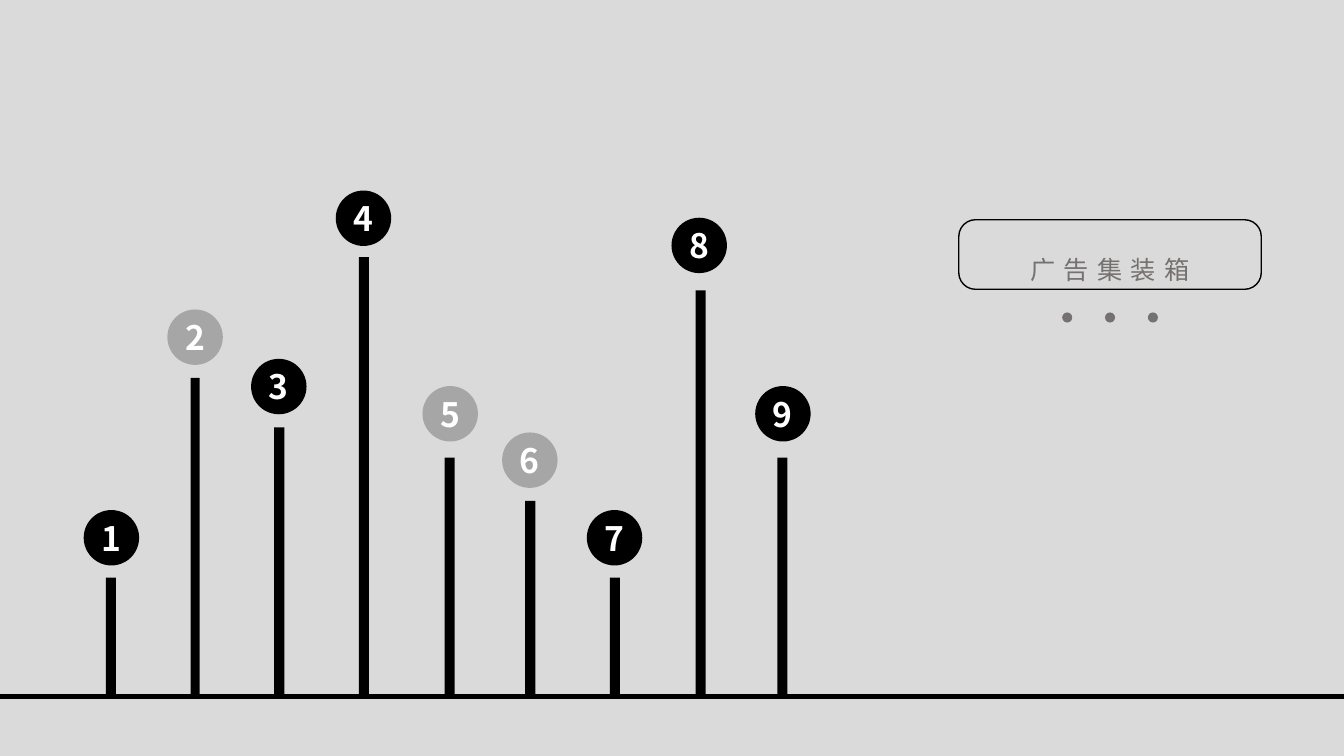
"""Build a slide of nine numbered pins on a baseline with a framed caption."""
import pptx
import pptx.util
import pptx.dml.color
import pptx.enum.shapes
import pptx.enum.text
import pptx.oxml.ns
import lxml.etree

PINS = [
    ("1", 1.05, 5.73, 0.83, 5.06, "black"),
    ("2", 1.89, 3.75, 1.66, 3.07, "grey"),
    ("3", 2.72, 4.24, 2.49, 3.56, "black"),
    ("4", 3.56, 2.55, 3.33, 1.89, "black"),
    ("5", 4.41, 4.54, 4.19, 3.83, "grey"),
    ("6", 5.21, 4.97, 4.98, 4.29, "grey"),
    ("7", 6.05, 5.73, 5.82, 5.06, "black"),
    ("8", 6.9, 2.88, 6.66, 2.16, "black"),
    ("9", 7.71, 4.54, 7.49, 3.83, "black"),
]
CAPTION = "广告集装箱"
CAPTION_BOX = (9.51, 2.18, 3, 0.69)
DOT_COUNT, DOT_PITCH, DOT_TOP = 3, 0.425, 3.1
WIDTH, HEIGHT, BASELINE = 13.33, 7.5, 6.91
STEM, THIN_STEM, DISC, DOT = 0.1, 0.09, 0.55, 0.1

THEME = {
    "background": "D9DAD9", "black": "000000", "grey": "A6A6A6",
    "white": "FFFFFF", "caption": "767171", "font": "Noto Sans CJK SC",
    "number_size": 24, "caption_size": 18, "baseline": 3.5, "frame": 1,
}

Inches, Pt = pptx.util.Inches, pptx.util.Pt
SHAPE = pptx.enum.shapes.MSO_SHAPE
qn = pptx.oxml.ns.qn


def rgb(name):
    return pptx.dml.color.RGBColor.from_string(THEME[name])


def add_shape(slide, kind, box, fill=None):
    sp = slide.shapes.add_shape(kind, *map(Inches, box))
    sp.shadow.inherit = False
    sp.line.fill.background()
    if fill:
        sp.fill.solid()
        sp.fill.fore_color.rgb = rgb(fill)
    else:
        sp.fill.background()
    return sp


def write(sp, text, color, **formats):
    tf = sp.text_frame
    frame = {"margin_left": 0, "margin_right": 0, "margin_top": 0, "margin_bottom": 0,
             "word_wrap": False, "vertical_anchor": pptx.enum.text.MSO_ANCHOR.MIDDLE}
    for key, value in frame.items():
        setattr(tf, key, value)
    p = tf.paragraphs[0]
    p.alignment = pptx.enum.text.PP_ALIGN.CENTER
    r = p.add_run()
    r.text = text
    for key, value in {"name": THEME["font"], **formats}.items():
        setattr(r.font, key, value)
    r.font.color.rgb = rgb(color)
    lxml.etree.SubElement(r._r.rPr, qn("a:ea"), typeface=THEME["font"])
    return p, r


def add_baseline(slide):
    line = slide.shapes.add_connector(
        pptx.enum.shapes.MSO_CONNECTOR.STRAIGHT,
        *map(Inches, (0, BASELINE, WIDTH, BASELINE)))
    line.line.color.rgb = rgb("black")
    line.line.width = Pt(THEME["baseline"])
    lxml.etree.SubElement(line._element.spPr, qn("a:effectLst"))


def add_pin(slide, number, stem_left, stem_top, disc_left, disc_top, color):
    width = THIN_STEM if number == "2" else STEM
    add_shape(slide, SHAPE.RECTANGLE,
              (stem_left, stem_top, width, BASELINE - stem_top), "black")
    disc = add_shape(slide, SHAPE.OVAL, (disc_left, disc_top, DISC, DISC), color)
    write(disc, number, "white", size=Pt(THEME["number_size"]), bold=True)


def add_caption(slide):
    frame = add_shape(slide, SHAPE.ROUNDED_RECTANGLE, CAPTION_BOX)
    frame.adjustments[0] = 0.24
    frame.line.color.rgb = rgb("black")
    frame.line.width = Pt(THEME["frame"])
    p, r = write(frame, CAPTION, "caption", size=Pt(THEME["caption_size"]))
    p.line_spacing = 2.0
    r._r.rPr.set("spc", "600")
    center = CAPTION_BOX[0] + CAPTION_BOX[2] / 2
    for i in range(DOT_COUNT):
        left = center + (i - (DOT_COUNT - 1) / 2) * DOT_PITCH - DOT / 2
        add_shape(slide, SHAPE.OVAL, (left, DOT_TOP, DOT, DOT), "caption")


def main():
    prs = pptx.Presentation()
    prs.slide_width, prs.slide_height = Inches(WIDTH), Inches(HEIGHT)
    slide = prs.slides.add_slide(prs.slide_layouts[6])
    slide.background.fill.solid()
    slide.background.fill.fore_color.rgb = rgb("background")
    add_baseline(slide)
    for pin in PINS:
        add_pin(slide, *pin)
    add_caption(slide)
    prs.save("out.pptx")


if __name__ == "__main__":
    main()
